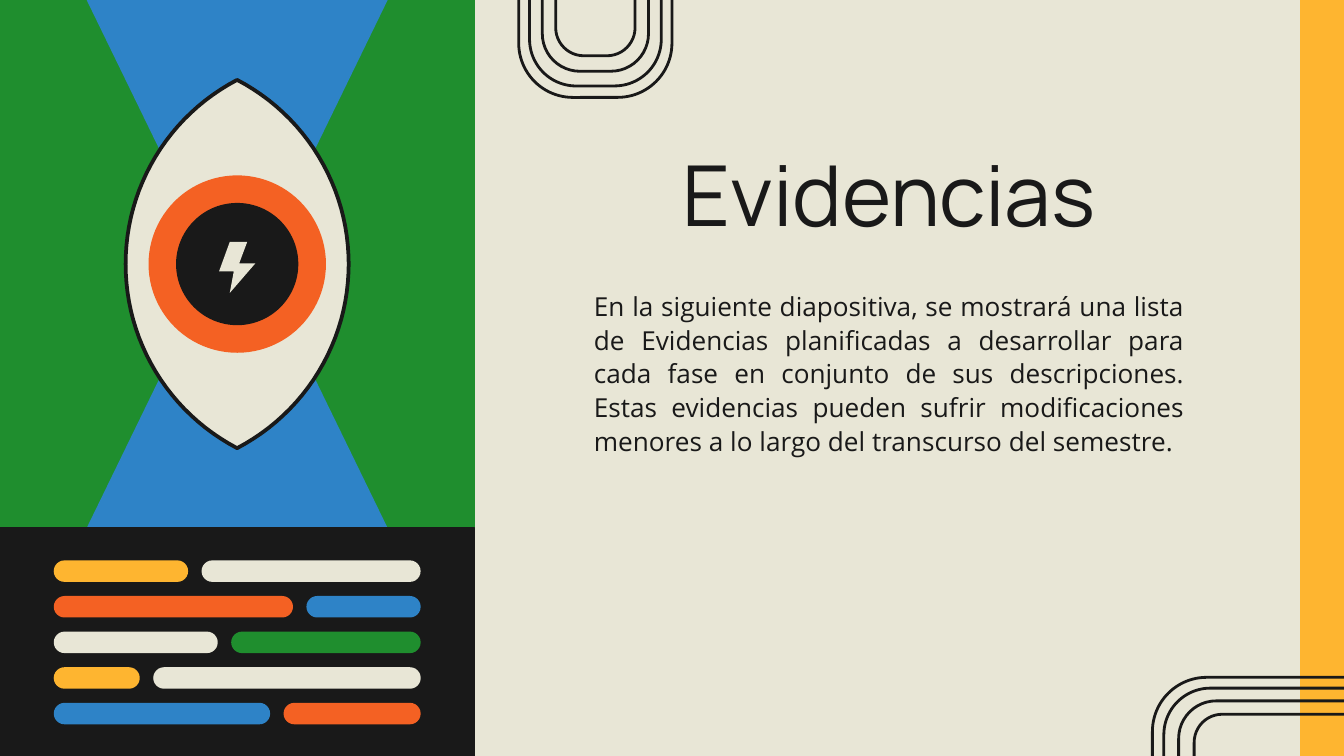
from math import asin, cos, sin

from pptx import Presentation
from pptx.dml.color import RGBColor
from pptx.enum.shapes import MSO_SHAPE
from pptx.enum.text import MSO_ANCHOR, MSO_AUTO_SIZE, PP_ALIGN
from pptx.util import Inches, Pt

CREAM = RGBColor(0xE8, 0xE6, 0xD6)
INK = RGBColor(0x19, 0x19, 0x19)
YELLOW = RGBColor(0xFE, 0xB5, 0x30)
GREEN = RGBColor(0x1F, 0x8E, 0x2E)
BLUE = RGBColor(0x2E, 0x83, 0xC7)
ORANGE = RGBColor(0xF4, 0x61, 0x23)

TITLE = "Evidencias"
BODY = (
    "En la siguiente diapositiva, se mostrará una lista de Evidencias "
    "planificadas a desarrollar para cada fase en conjunto de sus "
    "descripciones. Estas evidencias pueden sufrir modificaciones menores "
    "a lo largo del transcurso del semestre."
)
# Each row of bars: width of the left bar, its colour, colour of the right bar
BAR_ROWS = [
    (1.0, YELLOW, CREAM),
    (1.78, ORANGE, BLUE),
    (1.22, CREAM, GREEN),
    (0.64, YELLOW, CREAM),
    (1.61, BLUE, ORANGE),
]
RING_SIZES = [(3.93, 1.14), (3.76, 0.98), (3.54, 0.79), (3.31, 0.59)]
BOLT = [(1.71, 1.8), (1.63, 2.02), (1.74, 2.02), (1.71, 2.18),
        (1.9, 1.96), (1.78, 1.96), (1.84, 1.8)]

WIDTH, HEIGHT = 10, 10 * 9 / 16
PANEL_WIDTH, PANEL_SPLIT = 3.53, 3.93
EYE_X, EYE_Y = PANEL_WIDTH / 2, PANEL_SPLIT / 2
EYE_HALF_WIDTH, EYE_HALF_HEIGHT = 0.83, 1.37
BEAM_HALF_WIDTH, BEAM_HEIGHT = 1.12, 2.3
BARS_LEFT, BARS_RIGHT, BARS_TOP, BARS_BOTTOM = 0.4, 3.13, 4.17, 5.39
BAR_HEIGHT, BAR_GAP = 0.16, 0.1
BAR_STEP = (BARS_BOTTOM - BAR_HEIGHT - BARS_TOP) / (len(BAR_ROWS) - 1)
TEXT_LEFT, TEXT_WIDTH = 4.32, 4.59

deck = Presentation()
deck.slide_width, deck.slide_height = Inches(WIDTH), Inches(HEIGHT)
page = deck.slides.add_slide(deck.slide_layouts[5])
page.background.fill.solid()
page.background.fill.fore_color.rgb = CREAM


def paint(shape, fill=None, line=None, weight=0.75):
    shape.shadow.inherit = False
    if fill is None:
        shape.fill.background()
    else:
        shape.fill.solid()
        shape.fill.fore_color.rgb = fill
    if line is None:
        shape.line.fill.background()
    else:
        shape.line.color.rgb = line
        shape.line.width = Pt(weight)


def add_preset(kind, left, top, width, height, roundness=None, **style):
    shape = page.shapes.add_shape(
        kind, Inches(left), Inches(top), Inches(width), Inches(height))
    if roundness is not None:
        shape.adjustments[0] = roundness
    paint(shape, **style)


def add_polygon(points, **style):
    corners = [(Inches(x), Inches(y)) for x, y in points]
    builder = page.shapes.build_freeform(*corners[0])
    builder.add_line_segments(corners[1:], close=True)
    paint(builder.convert_to_shape(), **style)


def add_rings(center_x, center_y, upright):
    for long_side, short_side in RING_SIZES:
        width, height = (short_side, long_side) if upright else (long_side, short_side)
        add_preset(MSO_SHAPE.ROUNDED_RECTANGLE, center_x - width / 2,
                   center_y - height / 2, width, height,
                   roundness=0.354, line=INK, weight=1.5)


def add_disc(diameter, fill):
    add_preset(MSO_SHAPE.OVAL, EYE_X - diameter / 2, EYE_Y - diameter / 2,
               diameter, diameter, fill=fill)


def lens_points(steps=48):
    """Outline of two equal arcs that meet at the top and bottom of the eye."""
    radius = (EYE_HALF_WIDTH ** 2 + EYE_HALF_HEIGHT ** 2) / (2 * EYE_HALF_WIDTH)
    reach = asin(EYE_HALF_HEIGHT / radius)
    angles = [reach * (2 * step / steps - 1) for step in range(steps + 1)]
    right = [(radius * cos(angle) - radius + EYE_HALF_WIDTH, radius * sin(angle))
             for angle in angles]
    left = [(-x, -y) for x, y in right[1:-1]]
    return [(EYE_X + x, EYE_Y + y) for x, y in right + left]


def fill_text(box, text, font, size, align, anchor):
    frame = box.text_frame
    frame.text = text
    frame.word_wrap = True
    frame.auto_size = MSO_AUTO_SIZE.NONE
    frame.vertical_anchor = anchor
    frame.margin_left = frame.margin_right = Inches(0.1)
    frame.margin_top = frame.margin_bottom = Inches(0.1)
    para = frame.paragraphs[0]
    para.alignment = align
    span = para.runs[0]
    span.font.name, span.font.size = font, Pt(size)
    span.font.color.rgb = INK
    return para


# Right edge and line ornaments
add_preset(MSO_SHAPE.RECTANGLE, 9.68, 0, 0.32, HEIGHT, fill=YELLOW, line=YELLOW)
add_rings(4.43, -1.24, upright=True)
add_rings(10.54, 5.61, upright=False)

# Left panel with its beams
add_preset(MSO_SHAPE.RECTANGLE, 0, 0, PANEL_WIDTH, PANEL_SPLIT, fill=GREEN, line=GREEN)
for base, tip in [(0, BEAM_HEIGHT), (PANEL_SPLIT, PANEL_SPLIT - BEAM_HEIGHT)]:
    add_polygon([(EYE_X - BEAM_HALF_WIDTH, base), (EYE_X, tip),
                 (EYE_X + BEAM_HALF_WIDTH, base)], fill=BLUE)
add_preset(MSO_SHAPE.RECTANGLE, 0, PANEL_SPLIT, PANEL_WIDTH, HEIGHT - PANEL_SPLIT,
           fill=INK, line=INK)

# Bars
for row, (left_width, left_color, right_color) in enumerate(BAR_ROWS):
    top = BARS_TOP + row * BAR_STEP
    right_start = BARS_LEFT + left_width + BAR_GAP
    for start, width, color in [(BARS_LEFT, left_width, left_color),
                                (right_start, BARS_RIGHT - right_start, right_color)]:
        add_preset(MSO_SHAPE.ROUNDED_RECTANGLE, start, top, width, BAR_HEIGHT,
                   roundness=0.5, fill=color)

# Eye
add_polygon(lens_points(), fill=CREAM, line=INK, weight=2)
add_disc(1.32, ORANGE)
add_disc(0.91, INK)
add_polygon(BOLT, fill=CREAM)

# Text
title = page.shapes.title
title.left, title.top = Inches(TEXT_LEFT), Inches(0.98)
title.width, title.height = Inches(TEXT_WIDTH), Inches(0.91)
fill_text(title, TITLE, "Manrope", 45, PP_ALIGN.CENTER, MSO_ANCHOR.MIDDLE)

body = page.shapes.add_textbox(
    Inches(TEXT_LEFT), Inches(2.04), Inches(TEXT_WIDTH), Inches(3.11))
para = fill_text(body, BODY, "Open Sans", 14, PP_ALIGN.JUSTIFY, MSO_ANCHOR.TOP)
para.line_spacing = 1.08
para.space_after = Pt(8)

deck.save("out.pptx")
